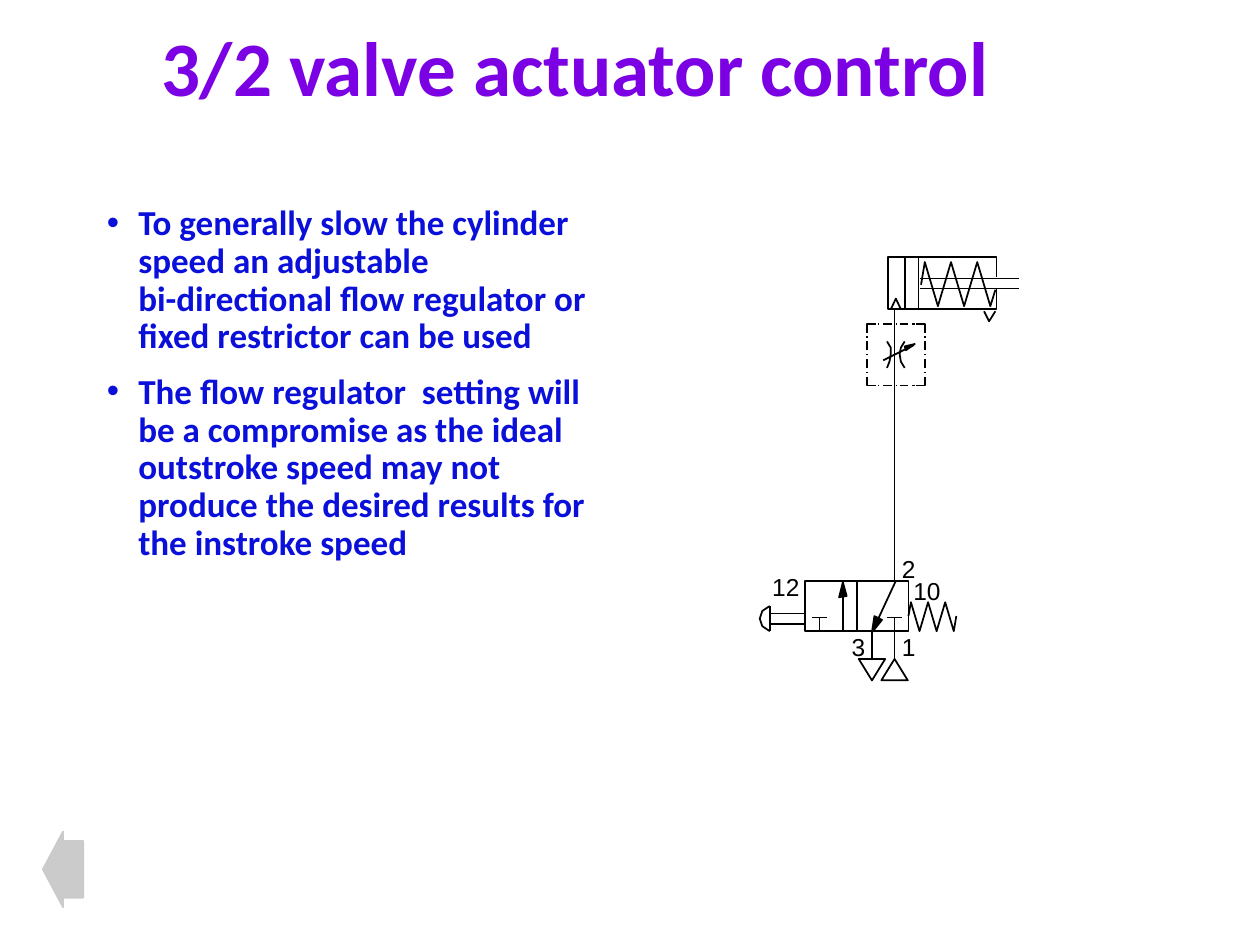
from lxml import etree
from pptx import Presentation
from pptx.dml.color import RGBColor
from pptx.enum.shapes import MSO_CONNECTOR, MSO_SHAPE
from pptx.enum.text import MSO_ANCHOR
from pptx.oxml.ns import qn
from pptx.util import Inches, Pt

STRAIGHT = MSO_CONNECTOR.STRAIGHT
RECTANGLE = MSO_SHAPE.RECTANGLE
TRIANGLE = MSO_SHAPE.ISOSCELES_TRIANGLE
LEFT_ARROW = MSO_SHAPE.LEFT_ARROW
MIDDLE, TOP = MSO_ANCHOR.MIDDLE, MSO_ANCHOR.TOP

# All lengths are cells of a square grid, 100 cells to the inch
CELL = Inches(0.01)
SLIDE_COLUMNS, SLIDE_ROWS = 1000, 750
BLACK, PURPLE, BLUE, GRAY = "000000", "7B00E4", "0A0FDA", "CBCBCB"

TITLE = "3/2 valve actuator control"
BULLETS = [
    "To generally slow the cylinder speed an adjustable \n"
    "bi-directional flow regulator or fixed restrictor can be used",
    "The flow regulator  setting will be a compromise as the ideal outstroke "
    "speed may not produce the desired results for the instroke speed",
]


def rgb(value):
    return RGBColor.from_string(value)


def cells(*counts):
    return [round(count * CELL) for count in counts]


def style_shape(shape, fill=None, line=BLACK):
    shape.shadow.inherit = False
    if fill:
        shape.fill.solid()
        shape.fill.fore_color.rgb = rgb(fill)
    else:
        shape.fill.background()
    shape.line.color.rgb = rgb(line)
    shape.line.width = Pt(1)


def add_preset(slide, kind, left, top, width, height, fill=None, line=BLACK):
    shape = slide.shapes.add_shape(kind, *cells(left, top, width, height))
    style_shape(shape, fill, line)
    return shape


def add_line(slide, origin, x1, y1, x2, y2):
    left, top = origin
    connector = slide.shapes.add_connector(
        STRAIGHT, *cells(left + x1, top + y1, left + x2, top + y2))
    connector.line.color.rgb = rgb(BLACK)
    connector.line.width = Pt(1)
    etree.SubElement(connector._element.spPr, qn("a:effectLst"))
    return connector


def add_path(slide, origin, points, fill=None):
    left, top = origin
    placed = [cells(left + x, top + y) for x, y in points]
    builder = slide.shapes.build_freeform(*placed[0])
    builder.add_line_segments(placed[1:], close=fill is not None)
    style_shape(builder.convert_to_shape(), fill)


def add_text_box(slide, left, top, width, height, anchor=TOP, wrap=True):
    box = slide.shapes.add_textbox(*cells(left, top, width, height))
    box.text_frame.word_wrap = wrap
    box.text_frame.vertical_anchor = anchor
    return box.text_frame


def add_run(paragraph, text, size, font, color, bold=False):
    run = paragraph.add_run()
    run.text = text
    run.font.size, run.font.name, run.font.bold = Pt(size), font, bold
    run.font.color.rgb = rgb(color)


def add_bullet(paragraph, color):
    properties = paragraph._p.get_or_add_pPr()
    properties.set("marL", str(25 * CELL))
    properties.set("indent", str(-25 * CELL))
    bullet_color = etree.SubElement(properties, qn("a:buClr"))
    etree.SubElement(bullet_color, qn("a:srgbClr"), val=color)
    etree.SubElement(properties, qn("a:buFont"), typeface="Arial")
    etree.SubElement(properties, qn("a:buChar"), char="•")


def draw_title(slide, *box):
    paragraph = add_text_box(slide, *box, anchor=MIDDLE).paragraphs[0]
    paragraph.line_spacing = 0.9
    add_run(paragraph, TITLE, 44, "Calibri", PURPLE, True)


def draw_bullets(slide, *box):
    frame = add_text_box(slide, *box)
    for index, text in enumerate(BULLETS):
        paragraph = frame.add_paragraph() if index else frame.paragraphs[0]
        add_bullet(paragraph, BLUE)
        paragraph.line_spacing = 0.9
        if index:
            paragraph.space_before = Pt(10)
        for number, part in enumerate(text.split("\n")):
            if number:
                paragraph.add_line_break()
            add_run(paragraph, part, 20, "Calibri", BLUE, True)


def draw_cylinder(slide, left, top, width, height):
    origin = left, top
    # Piston rod and piston
    for y in (17, 25):
        add_line(slide, origin, 25, y, 104, y)
    for x in (13, 24):
        add_line(slide, origin, x, 0, x, height)
    # Barrel, open where the rod leaves it
    add_path(slide, origin, [(width, 16), (width, 0), (0, 0), (0, height),
                             (width, height), (width, 25)])
    # Return spring
    coils = [(29 + 10.4 * i, 4 if i % 2 == 0 else 39) for i in range(6)]
    add_path(slide, origin, [(26, 22), *coils, (85, 26)])
    # Inlet and exhaust ports
    add_path(slide, origin, [(2, height), (6, 33), (10, height)])
    add_path(slide, origin, [(76, 43), (80, 51), (85, 43)])


def draw_regulator(slide, left, top, width, height):
    origin = left, top
    # Dash-dot frame
    for y in (0, height):
        for start, end in ((9, 10), (13, 20), (23, 24), (26, 33), (36, 38)):
            add_line(slide, origin, start, y, end, y)
    for x in (0, width):
        for start, end in ((10, 11), (14, 21), (24, 25), (28, 35), (38, 39)):
            add_line(slide, origin, x, start, x, end)
    for x, inward_x in ((0, 7), (width, width - 7)):
        for y, inward_y in ((0, 7), (height, height - 7)):
            add_path(slide, origin, [(inward_x, y), (x, y), (x, inward_y)])
    # Restriction curves
    add_path(slide, origin, [(30, 14), (27, 19), (26, 24), (27, 30), (30, 35)])
    add_path(slide, origin, [(16, 14), (19, 19), (19, 24), (18, 30), (16, 35)])
    # Adjustment arrow
    add_line(slide, origin, 13, 29, 37, 17)
    add_path(slide, origin, [(38, 16), (30, 18), (31, 21)], BLACK)


def draw_valve(slide, left, top, width, height):
    origin = left, top
    # Two-position body
    body = add_preset(slide, RECTANGLE, left, top, width, height)
    divider = add_line(slide, origin, width / 2, 0, width / 2, height)
    divider.begin_connect(body, 0)
    divider.end_connect(body, 2)
    # Flow arrows
    add_line(slide, origin, 30, 41, 30, 0)
    add_path(slide, origin, [(30, 1), (27, 13), (33, 12)], BLACK)
    add_line(slide, origin, 72, 0, 53, 41)
    add_path(slide, origin, [(53, 41), (55, 28), (61, 31)], BLACK)
    # Blocked ports
    for x in (11.5, 71):
        add_line(slide, origin, x - 6, 29, x + 6, 29)
        add_line(slide, origin, x, 29, x, 41)
    # Exhaust and supply
    for x, rotation in ((53, 180), (71, 0)):
        add_line(slide, origin, x, height, x, 61)
        port = add_preset(slide, TRIANGLE, left + x - 10.5, top + 62, 21, 17)
        port.rotation = rotation
    # Spring
    coils = [(2 + 6.8 * i, 17 if i % 2 == 0 else 40) for i in range(6)]
    add_path(slide, (left + width, top), [(0, 28), *coils, (38, 28)])
    # Push button
    add_path(slide, origin, [(-28, 20), (-34, 24), (-36, 30), (-34, 36), (-28, 40)])
    add_line(slide, origin, -28, 20, -28, 40)
    for y in (26, 34):
        add_line(slide, origin, -27, y, -1, y)
    # Port labels
    for text, x, y, label_width in (("1", 67, 36, 31), ("2", 67, -26, 31),
                                    ("3", 27, 36, 31), ("12", -36, -12, 42),
                                    ("10", 76, -9, 42)):
        frame = add_text_box(slide, left + x, top + y, label_width, 33, wrap=False)
        add_run(frame.paragraphs[0], text, 14, "Arial", BLACK)


def draw_back_arrow(slide, *box):
    arrow = add_preset(slide, LEFT_ARROW, *box, fill=GRAY, line=GRAY)
    arrow.adjustments[0], arrow.adjustments[1] = 0.75, 0.5


def main():
    presentation = Presentation()
    presentation.slide_width, presentation.slide_height = cells(
        SLIDE_COLUMNS, SLIDE_ROWS)
    slide = presentation.slides.add_slide(presentation.slide_layouts[6])
    draw_title(slide, 118, 16, 747, 81)
    draw_bullets(slide, 75, 158, 417, 492)
    draw_cylinder(slide, 705, 204, 86, 41.5)
    add_line(slide, (710, 246), 0, 0, 0, 214)  # cylinder to valve
    draw_valve(slide, 639, 461, 82, 40)
    draw_regulator(slide, 688, 257, 46, 49)
    draw_back_arrow(slide, 34, 660, 32, 60)
    presentation.save("out.pptx")


if __name__ == "__main__":
    main()
